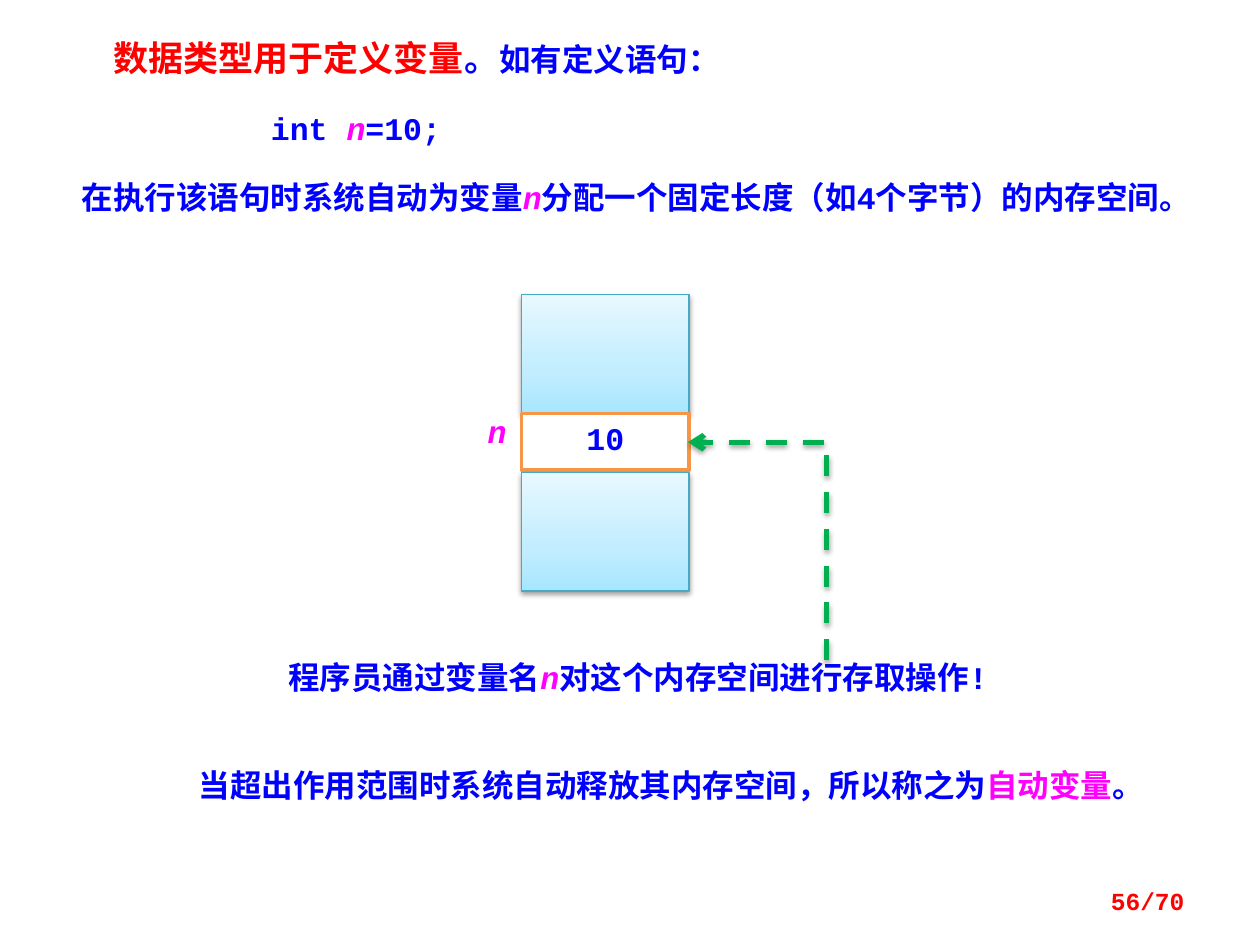
import copy
from dataclasses import dataclass

import pptx
import pptx.dml.color
import pptx.enum.dml
import pptx.enum.shapes
import pptx.enum.text
import pptx.oxml
import pptx.oxml.ns
import pptx.util

Inches = pptx.util.Inches
Pt = pptx.util.Pt
ALIGN = pptx.enum.text.PP_ALIGN
NAMESPACE = 'xmlns:a="http://schemas.openxmlformats.org/drawingml/2006/main"'


def rgb(value):
    return pptx.dml.color.RGBColor.from_string(value)


@dataclass(frozen=True)
class Theme:
    blue: str = "0000FF"
    red: str = "FF0000"
    magenta: str = "FF00FF"
    green: str = "00B050"
    orange: str = "F79646"
    teal: str = "46AAC5"
    white: str = "FFFFFF"
    gradient: tuple = ((0, "A7E6FF"), (0.35, "C1EDFF"), (1, "E7F8FF"))
    code_font: str = "Courier New"
    chinese_font: str = "Noto Sans CJK SC"
    lead_size: int = 20
    text_size: int = 18
    number_size: int = 14


THEME = Theme()
PLAIN = {"size": Pt(THEME.text_size), "bold": True, "italic": False,
         "name": THEME.code_font, "color": THEME.blue}
LEAD = PLAIN | {"size": Pt(THEME.lead_size)}
LEAD_RED = LEAD | {"color": THEME.red, "name": THEME.chinese_font}
KEYWORD = PLAIN | {"color": THEME.magenta}
VARIABLE = KEYWORD | {"italic": True}
NUMBER = PLAIN | {"size": Pt(THEME.number_size), "color": THEME.red}


def add_xml(parent, markup):
    parent.append(pptx.oxml.parse_xml(markup))


def write_paragraph(para, spans, **layout):
    """Fill a paragraph with (text, format) spans and set its layout."""
    for name, value in layout.items():
        setattr(para, name, value)
    for text, text_format in spans:
        span = para.add_run()
        span.text = text
        for name, value in text_format.items():
            if name == "color":
                span.font.color.rgb = rgb(value)
            else:
                setattr(span.font, name, value)
        add_xml(span.font._element,
                f'<a:ea {NAMESPACE} typeface="{THEME.chinese_font}"/>')


def add_text(page, box, spans, **layout):
    frame = page.shapes.add_textbox(*map(Inches, box)).text_frame
    frame.word_wrap = True
    write_paragraph(frame.paragraphs[0], spans, **layout)
    return frame


def add_shadow(shape):
    shape.shadow.inherit = False
    effects = shape._element.spPr.find(pptx.oxml.ns.qn("a:effectLst"))
    add_xml(effects,
            f'<a:outerShdw {NAMESPACE} blurRad="40000" dist="20000" dir="5400000" '
            'rotWithShape="0"><a:srgbClr val="000000"><a:alpha val="38000"/>'
            '</a:srgbClr></a:outerShdw>')


def fill_gradient(shape):
    shape.fill.gradient()
    shape.fill.gradient_angle = 90
    stop_list = shape._element.spPr.find(".//" + pptx.oxml.ns.qn("a:gsLst"))
    stop_list.insert(1, copy.deepcopy(stop_list[0]))
    for stop, (position, color) in zip(shape.fill.gradient_stops, THEME.gradient):
        stop.position = position
        stop.color.rgb = rgb(color)


def add_explanation(page, box):
    body = page.placeholders[1]
    for name, value in zip(("left", "top", "width", "height"), box):
        setattr(body, name, Inches(value))
    frame = body.text_frame
    frame.auto_size = pptx.enum.text.MSO_AUTO_SIZE.NONE
    lines = [
        (0.25, [("数据类型用于定义变量", LEAD_RED), ("。", LEAD),
                ("如有定义语句：", PLAIN)]),
        (1.5, [("int ", PLAIN), ("n", VARIABLE), ("=10;", PLAIN)]),
        (0, [("在执行该语句时系统自动为变量", PLAIN), ("n", VARIABLE),
             ("分配一个固定长度（如4个字节）的内存空间。", PLAIN)]),
    ]
    for index, (indent, spans) in enumerate(lines):
        para = frame.add_paragraph() if index else frame.paragraphs[0]
        properties = para._p.get_or_add_pPr()
        properties.set("marL", str(Inches(indent)))
        properties.set("indent", "0")
        add_xml(properties, f"<a:buNone {NAMESPACE}/>")
        write_paragraph(para, spans, line_spacing=Pt(30),
                        space_before=Pt(9 if index else 0), alignment=ALIGN.LEFT)


def add_cell(page, box, line_color, line_width):
    cell = page.shapes.add_shape(
        pptx.enum.shapes.MSO_SHAPE.RECTANGLE, *map(Inches, box))
    cell.line.color.rgb = rgb(line_color)
    cell.line.width = Pt(line_width)
    return cell


def add_memory(page, box):
    """Stack two free blocks around the cell that holds the variable."""
    left, top, width, height = box
    block_height, value_height = 0.94, 0.45
    value_top = top + block_height

    def add_block(block_top):
        block = add_cell(page, (left, block_top, width, block_height),
                         THEME.teal, 0.75)
        fill_gradient(block)
        add_shadow(block)

    add_block(top)
    value = add_cell(page, (left, value_top, width, value_height), THEME.orange, 2)
    value.shadow.inherit = False
    value.fill.solid()
    value.fill.fore_color.rgb = rgb(THEME.white)
    value.text_frame.word_wrap = False
    value.text_frame.vertical_anchor = pptx.enum.text.MSO_ANCHOR.MIDDLE
    write_paragraph(value.text_frame.paragraphs[0], [("10", PLAIN)],
                    alignment=ALIGN.CENTER, line_spacing=0.8)
    add_block(top + height - block_height)
    add_text(page, (left - 0.47, value_top, 0.55, 0.35), [("n", VARIABLE)],
             alignment=ALIGN.CENTER, line_spacing=0.8)


def add_access_note(page, box):
    add_text(page, box, [("程序员通过变量名", PLAIN), ("n", VARIABLE),
                         ("对这个内存空间进行存取操作!", PLAIN)], line_spacing=0.8)


def add_access_arrow(page, box):
    """Draw a bent arrow from the lower right corner to the upper left one."""
    left, top, width, height = map(Inches, box)
    builder = page.shapes.build_freeform(left + width, top + height)
    builder.add_line_segments([(left + width, top), (left, top)], close=False)
    arrow = builder.convert_to_shape()
    arrow.fill.background()
    arrow.line.color.rgb = rgb(THEME.green)
    arrow.line.width = Pt(3)
    arrow.line.dash_style = pptx.enum.dml.MSO_LINE.DASH
    add_xml(arrow.line._get_or_add_ln(), f'<a:tailEnd {NAMESPACE} type="arrow"/>')
    add_shadow(arrow)


def add_conclusion(page, box):
    add_text(page, box, [
        ("当超出作用范围时系统自动释放其内存空间，所以称之为", PLAIN),
        ("自动变量", KEYWORD), ("。", PLAIN)], line_spacing=Pt(28))


def add_page_number(page, box):
    frame = add_text(page, box, [("56/70", NUMBER)], alignment=ALIGN.RIGHT)
    frame.vertical_anchor = pptx.enum.text.MSO_ANCHOR.MIDDLE


def main():
    deck = pptx.Presentation()
    deck.slide_width, deck.slide_height = Inches(10), Inches(7.5)
    page = deck.slides.add_slide(deck.slide_layouts[1])
    title = page.shapes.title._element
    title.getparent().remove(title)
    add_explanation(page, (0.55, 0.16, 9.06, 1.67))
    add_memory(page, (4.14, 2.34, 1.33, 2.35))
    add_access_note(page, (2.19, 5.23, 6.72, 0.34))
    add_access_arrow(page, (5.46, 3.51, 1.1, 1.73))
    add_conclusion(page, (1.48, 5.94, 7.81, 0.49))
    add_page_number(page, (7.17, 6.95, 2.33, 0.4))
    deck.save("out.pptx")


if __name__ == "__main__":
    main()
